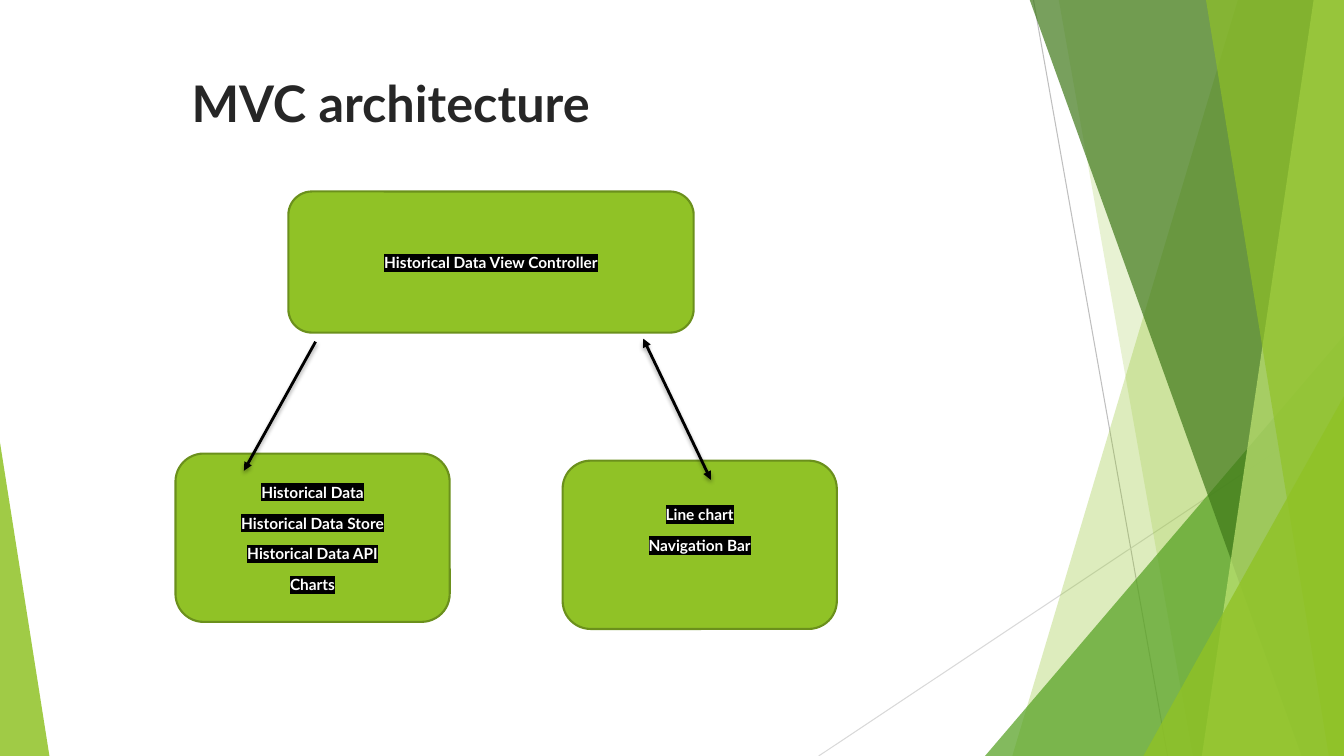
from lxml import etree
from pptx import Presentation
from pptx.dml.color import RGBColor
from pptx.enum.shapes import MSO_CONNECTOR, MSO_SHAPE
from pptx.enum.text import MSO_ANCHOR, PP_ALIGN
from pptx.oxml.ns import qn
from pptx.util import Pt

PX = 9144  # 100 px to the inch
WIDTH, HEIGHT = 1333, 750
STRAIGHT = MSO_CONNECTOR.STRAIGHT
TRIANGLE, ROUNDED = MSO_SHAPE.ISOSCELES_TRIANGLE, MSO_SHAPE.ROUNDED_RECTANGLE
CENTER, MIDDLE = PP_ALIGN.CENTER, MSO_ANCHOR.MIDDLE
FONT = "Lato"
LIME, GREEN, FOREST, PALE = "90C226", "54A021", "3F7819", "C0E474"
EDGE, BLACK, WHITE, INK = "6B901C", "000000", "FFFFFF", "262626"


def color(hex_code):
    return RGBColor.from_string(hex_code)


def lengths(*values):
    return [value * PX for value in values]


def child(parent, tag, **attributes):
    """Append a DrawingML element with the given attributes."""
    element = etree.SubElement(parent, qn(tag))
    for name, value in attributes.items():
        element.set(name, str(value))
    return element


def paint(shape, fill, opacity):
    """Give a decorative shape a translucent fill and no outline."""
    shape.shadow.inherit = False
    shape.fill.solid()
    shape.fill.fore_color.rgb = color(fill)
    shape.line.fill.background()
    tint = shape.element.spPr.find(qn("a:solidFill")).find(qn("a:srgbClr"))
    child(tint, "a:alpha", val=opacity * 1000)


def add_band(page, top_left, top_right, bottom_right, bottom_left, fill, opacity):
    """Add a four-sided band that runs the full height of the page."""
    builder = page.shapes.build_freeform(top_left, -1, scale=PX)
    builder.add_line_segments(
        [(top_right, -1), (bottom_right, HEIGHT), (bottom_left, HEIGHT)], close=True)
    paint(builder.convert_to_shape(), fill, opacity)


def add_wedge(page, left, top, width, apex, fill, opacity):
    """Add a triangle standing on the bottom edge; apex is 0 (left) to 1 (right)."""
    wedge = page.shapes.add_shape(
        TRIANGLE, *lengths(left, top, width, HEIGHT - top))
    wedge.adjustments[0] = apex
    paint(wedge, fill, opacity)


def add_line(page, start, end, line_color, weight):
    """Add a straight line; return it with its empty effect list."""
    line = page.shapes.add_connector(STRAIGHT, *lengths(*start, *end))
    line.line.color.rgb = color(line_color)
    line.line.width = Pt(weight)
    return line, child(line.element.spPr, "a:effectLst")


def add_arrow(page, start, end, ends):
    """Add a black arrow with a soft shadow and heads at the given ends."""
    arrow, effects = add_line(page, start, end, BLACK, 2)
    outline = arrow.element.spPr.find(qn("a:ln"))
    for tag in ends:
        child(outline, tag, type="triangle")
    shadow = child(effects, "a:outerShdw", blurRad=Pt(3), dist=Pt(2),
                   dir=90 * 60000, rotWithShape=0)
    child(child(shadow, "a:srgbClr", val=BLACK), "a:alpha", val=35000)


def set_font(para, size, font_color):
    para.font.name = FONT
    para.font.size = Pt(size)
    para.font.bold = True
    para.font.color.rgb = color(font_color)


def add_title(page, text):
    frame = page.shapes.add_textbox(*lengths(190, 72, 824, 60)).text_frame
    frame.word_wrap = True
    frame.margin_left = frame.margin_right = frame.margin_top = frame.margin_bottom = 0
    para = frame.paragraphs[0]
    para.text = text
    set_font(para, 36, INK)


def add_component(page, left, top, width, height, labels, bottom_margin=5):
    """Add a rounded box with highlighted, centred labels."""
    box = page.shapes.add_shape(ROUNDED, *lengths(left, top, width, height))
    box.shadow.inherit = False
    box.fill.solid()
    box.fill.fore_color.rgb = color(LIME)
    box.line.color.rgb = color(EDGE)
    box.line.width = Pt(1.5)
    frame = box.text_frame
    frame.word_wrap = True
    frame.vertical_anchor = MIDDLE
    frame.margin_bottom = bottom_margin * PX
    for index, label in enumerate(labels):
        para = frame.add_paragraph() if index else frame.paragraphs[0]
        para.alignment = CENTER
        para.line_spacing = 1.07
        para.space_after = Pt(8)
        set_font(para, 11, WHITE)
        span = para.add_run()
        span.text = label
        highlight = child(span.font._element, "a:highlight")
        child(highlight, "a:srgbClr", val=BLACK)


def add_backdrop(page):
    add_line(page, (1025, 0), (1158, HEIGHT), "BFBFBF", 0.75)
    add_line(page, (WIDTH, 403), (812, HEIGHT), "D9D9D9", 0.75)
    add_band(page, 1228, WIDTH, WIDTH, 1004, LIME, 30)
    add_band(page, 1050, WIDTH, WIDTH, 1183, LIME, 20)
    add_wedge(page, 977, 333, 356, 1, GREEN, 72)
    add_band(page, 1021, WIDTH, WIDTH, 1291, FOREST, 70)
    add_band(page, 1303, WIDTH, WIDTH, 1192, PALE, 70)
    add_band(page, 1196, WIDTH, WIDTH, 1318, LIME, 65)
    add_wedge(page, 1134, 393, 199, 1, LIME, 80)
    add_wedge(page, 0, 439, 49, 0, LIME, 85)


def main():
    deck = Presentation()
    deck.slide_width, deck.slide_height = lengths(WIDTH, HEIGHT)
    page = deck.slides.add_slide(deck.slide_layouts[6])
    add_backdrop(page)
    add_title(page, "MVC architecture")
    add_component(page, 286, 190, 402, 140, ["Historical Data View Controller"])
    add_component(page, 174, 450, 272, 167, [
        "Historical Data", "Historical Data Store", "Historical Data API", "Charts"])
    add_component(page, 558, 457, 272, 167, ["Line chart", "Navigation Bar"],
                  bottom_margin=36)
    add_arrow(page, (638, 336), (705, 476), ["a:headEnd", "a:tailEnd"])
    add_arrow(page, (313, 339), (242, 467), ["a:tailEnd"])
    deck.save("out.pptx")


if __name__ == "__main__":
    main()
